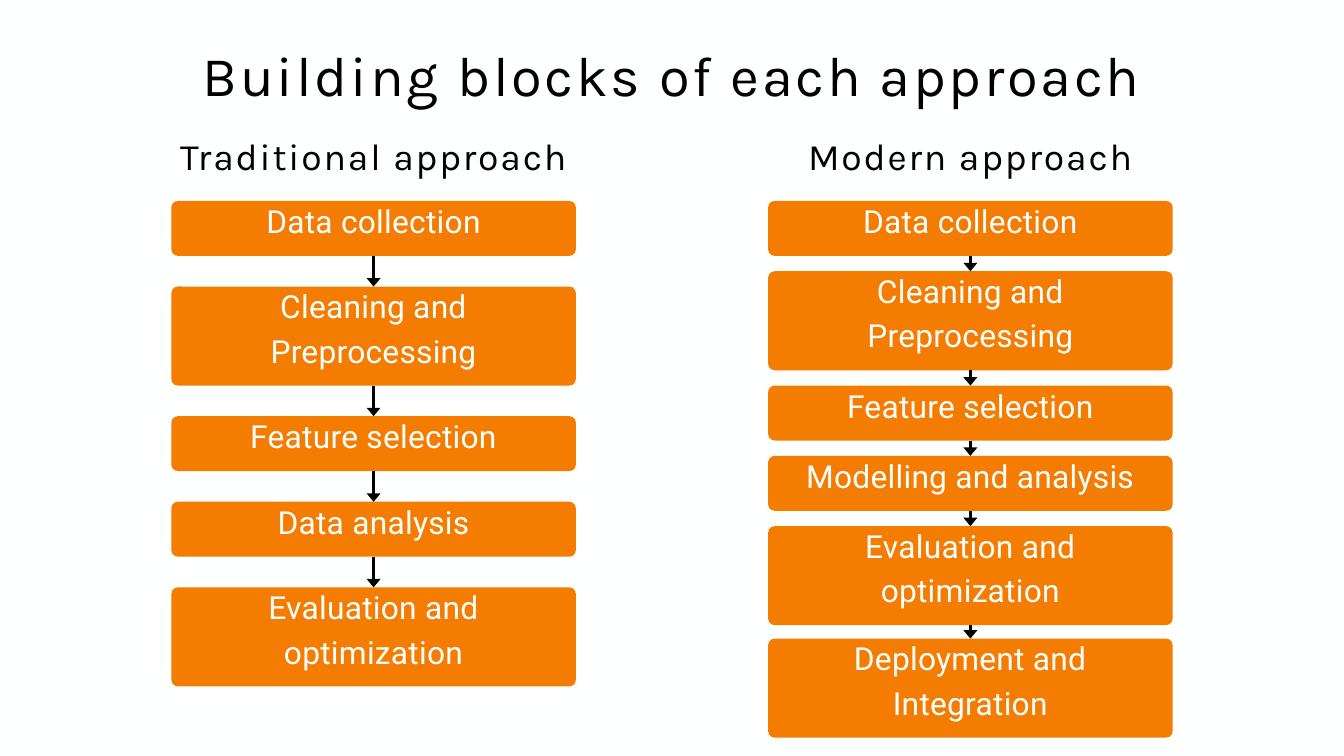
import pptx
import pptx.dml.color
import pptx.enum.shapes
import pptx.enum.text
import pptx.oxml.ns
import pptx.oxml.xmlchemy
import pptx.util
from dataclasses import dataclass

Pt = pptx.util.Pt
Anchor = pptx.enum.text.MSO_ANCHOR
Fit = pptx.enum.text.MSO_AUTO_SIZE
Node = pptx.oxml.xmlchemy.OxmlElement
qn = pptx.oxml.ns.qn


@dataclass(frozen=True)
class Theme:
    paper: str = "FEFFFF"
    ink: str = "000000"
    block: str = "F47C00"
    label: str = "FFFFFF"
    title: tuple = ("Karla", 60, 82.8, 3)
    head: tuple = ("Karla", 40, 55.2, 2)
    step: tuple = ("Roboto", 34, 47.6, 0.3)


THEME = Theme()
TITLE = "Building blocks of each approach"
SINGLE, DOUBLE = 58.9, 106.1
COLUMNS = [
    {
        "head": "Traditional approach",
        "mid": 400.3,
        "gaps": [32.8] * 4,
        "steps": [
            ("Data collection", SINGLE),
            ("Cleaning and Preprocessing", DOUBLE),
            ("Feature selection", SINGLE),
            ("Data analysis", SINGLE),
            ("Evaluation and optimization", DOUBLE),
        ],
    },
    {
        "head": "Modern approach",
        "mid": 1039.7,
        "gaps": [16.4] * 4 + [14.4],
        "steps": [
            ("Data collection", SINGLE),
            ("Cleaning and Preprocessing", DOUBLE),
            ("Feature selection", SINGLE),
            ("Modelling and analysis", SINGLE),
            ("Evaluation and optimization", DOUBLE),
            ("Deployment and Integration", DOUBLE),
        ],
    },
]
WIDE, HIGH = 1440, 810
TOP, WIDTH, ROUND, RISE, INSET = 215.3, 433.4, 7, 23.2, 5
HEAD_TOP, HEAD_WIDE, HEAD_HIGH = 135.4, 639.4, 56.2


def color(code):
    return pptx.dml.color.RGBColor.from_string(code)


def style(item, **values):
    for name, value in values.items():
        setattr(item, name, value)


def write(shapes, text, area, kind, ink, inset=0, **frame):
    face, size, line, space = kind
    body = shapes.add_textbox(*map(Pt, area)).text_frame
    sides = ("left", "top", "right", "bottom")
    margins = {f"margin_{side}": Pt(inset) for side in sides}
    style(body, word_wrap=True, **margins, **frame)
    para = body.paragraphs[0]
    style(para, alignment=pptx.enum.text.PP_ALIGN.CENTER, line_spacing=Pt(line))
    run = para.add_run()
    run.text = text
    style(run.font, name=face, size=Pt(size))
    run.font.color.rgb = color(ink)
    run._r.get_or_add_rPr().set("spc", str(round(space * 100)))


def add_block(slide, text, left, top, high):
    shapes = slide.shapes.add_group_shape().shapes
    block = shapes.add_shape(
        pptx.enum.shapes.MSO_SHAPE.ROUNDED_RECTANGLE,
        *map(Pt, (left, top, WIDTH, high)),
    )
    block.adjustments[0] = ROUND / high
    block.shadow.inherit = False
    block.fill.solid()
    block.fill.fore_color.rgb = color(THEME.block)
    block.line.fill.background()
    area = (left, top - RISE, WIDTH, high + RISE)
    write(shapes, text, area, THEME.step, THEME.label, INSET,
          vertical_anchor=Anchor.MIDDLE)
    return block


def add_arrow(slide, start, end):
    arrow = slide.shapes.add_connector(
        pptx.enum.shapes.MSO_CONNECTOR.STRAIGHT, 0, 0, 0, 0)
    arrow.begin_connect(start, 2)
    arrow.end_connect(end, 0)
    arrow.line.width = Pt(3)
    arrow.line.color.rgb = color(THEME.ink)
    tail = Node("a:tailEnd")
    for name, value in {"type": "triangle", "w": "lg", "len": "med"}.items():
        tail.set(name, value)
    props = arrow._element.spPr
    props.find(qn("a:ln")).append(tail)
    props.append(Node("a:effectLst"))


def add_column(slide, head, mid, gaps, steps):
    area = (mid - HEAD_WIDE / 2, HEAD_TOP, HEAD_WIDE, HEAD_HIGH)
    write(slide.shapes, head, area, THEME.head, THEME.ink,
          auto_size=Fit.SHAPE_TO_FIT_TEXT)
    top, blocks = TOP, []
    for (text, high), gap in zip(steps, gaps + [0]):
        blocks.append(add_block(slide, text, mid - WIDTH / 2, top, high))
        top += high + gap
    for start, end in zip(blocks, blocks[1:]):
        add_arrow(slide, start, end)


def main():
    deck = pptx.Presentation()
    style(deck, slide_width=Pt(WIDE), slide_height=Pt(HIGH))
    slide = deck.slides.add_slide(deck.slide_layouts[6])
    slide.background.fill.solid()
    slide.background.fill.fore_color.rgb = color(THEME.paper)
    write(slide.shapes, TITLE, (168.8, 33.1, 1102.4, 83.5), THEME.title,
          THEME.ink, auto_size=Fit.SHAPE_TO_FIT_TEXT)
    for column in COLUMNS:
        add_column(slide, **column)
    deck.save("out.pptx")


if __name__ == "__main__":
    main()
